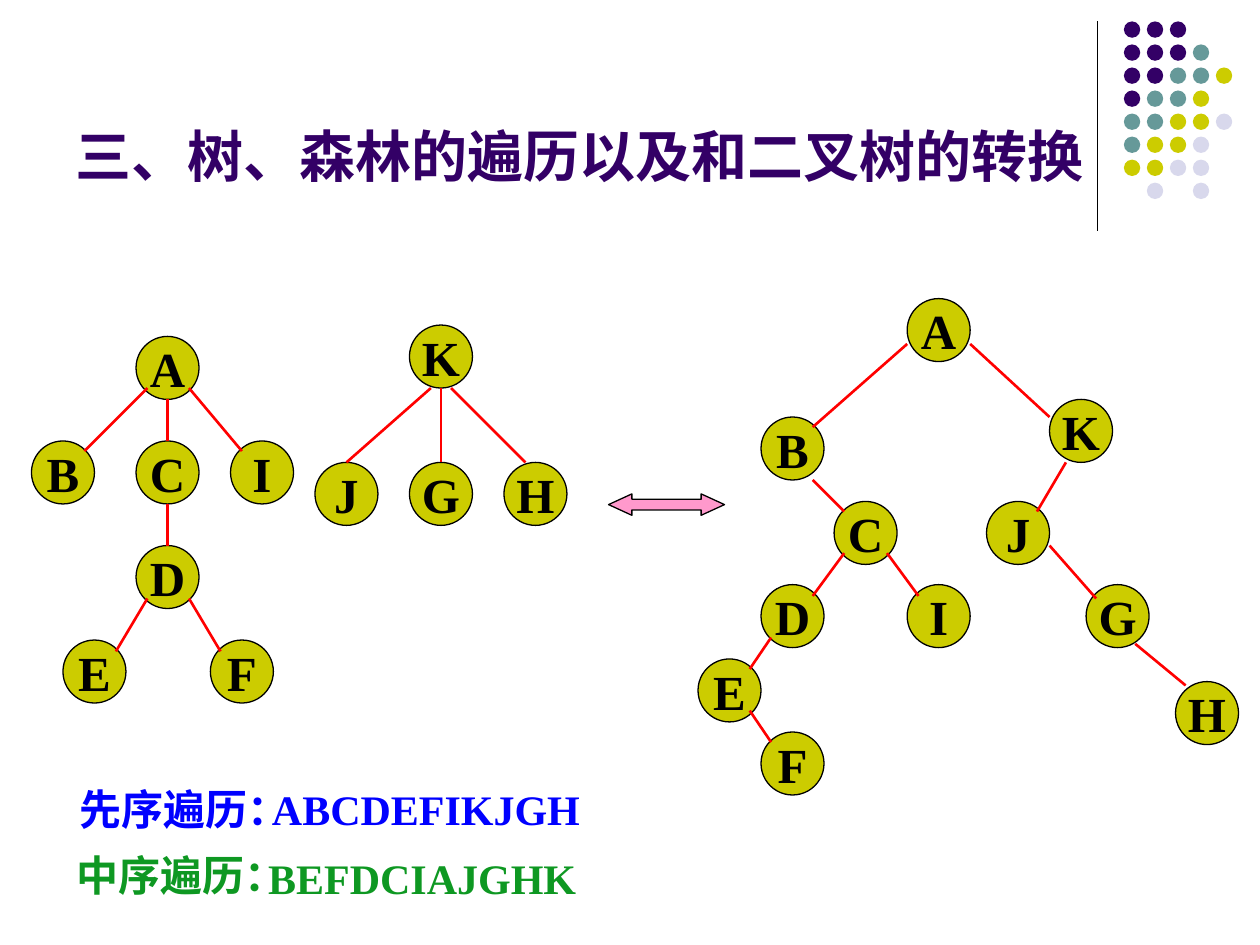
import pptx
import pptx.dml.color
import pptx.enum.shapes
import pptx.enum.text
import pptx.oxml.ns
import pptx.util
from dataclasses import dataclass
from lxml import etree

Inches = pptx.util.Inches
Shapes = pptx.enum.shapes.MSO_SHAPE
Anchor = pptx.enum.text.MSO_ANCHOR
Align = pptx.enum.text.PP_ALIGN
AutoSize = pptx.enum.text.MSO_AUTO_SIZE


@dataclass(frozen=True)
class Theme:
    """Colours, type sizes and line widths of the slide."""
    font: str = "Times New Roman"
    purple: str = "330066"
    teal: str = "669999"
    olive: str = "CCCC00"
    lavender: str = "D8D8EC"
    black: str = "000000"
    red: str = "FF0000"
    pink: str = "FF99CC"
    blue: str = "0000FF"
    green: str = "0E9822"
    title_size: int = 32
    node_size: int = 28
    label_size: int = 24
    outline: float = 0.75
    edge: float = 1.5


THEME = Theme()
NODE_DIAMETER = 0.5

DOT_ROWS = ["PPP", "PPPT", "PPTTO", "PTTO", "TTOOL", "TOOL", "OOLL", " L L"]
DOT_COLOURS = {"P": THEME.purple, "T": THEME.teal, "O": THEME.olive, "L": THEME.lavender}

FIRST_TREE = (
    {"E": (0.5, 5.08), "A": (1.08, 2.67), "B": (0.25, 3.5), "C": (1.08, 3.5),
     "D": (1.08, 4.33), "F": (1.67, 5.08), "I": (1.83, 3.5)},
    [(1.17, 3.08, 0.67, 3.58), (1.17, 4.75, 0.92, 5.17), (1.33, 3.17, 1.33, 3.5),
     (1.33, 4, 1.33, 4.33), (1.5, 4.75, 1.75, 5.17), (1.5, 3.08, 1.92, 3.58)],
)
SECOND_TREE = (
    {"J": (2.5, 3.67), "H": (4, 3.67), "G": (3.25, 3.67), "K": (3.25, 2.58)},
    [(3.42, 3.08, 2.75, 3.67), (3.5, 3.08, 3.5, 3.67), (3.58, 3.08, 4.17, 3.67)],
)
BINARY_TREE = (
    {"A": (7.2, 2.37), "B": (6.04, 3.31), "D": (6.04, 4.64), "E": (5.54, 5.23),
     "C": (6.62, 3.98), "I": (7.2, 4.64), "F": (6.04, 5.81), "K": (8.33, 3.17),
     "J": (7.83, 3.98), "G": (8.62, 4.64), "H": (9.33, 5.41)},
    [(7.2, 2.73, 6.45, 3.39), (6.7, 4.39, 6.45, 4.73), (6.12, 5.06, 5.95, 5.31),
     (6.45, 3.81, 6.7, 4.06), (7.04, 4.39, 7.29, 4.73), (5.95, 5.64, 6.12, 5.89),
     (7.7, 2.73, 8.33, 3.31), (8.46, 3.67, 8.23, 4.06), (8.7, 4.75, 8.33, 4.33),
     (9.01, 5.11, 9.41, 5.44)],
)


def colour(value):
    """Return an RGB colour from its hex value."""
    return pptx.dml.color.RGBColor.from_string(value)


def set_attributes(target, values):
    """Set each named attribute of the target."""
    for name, value in values.items():
        setattr(target, name, value)


def write_text(shape, text, size, text_colour, alignment, **frame_format):
    """Write one bold paragraph into a shape."""
    set_attributes(shape.text_frame, frame_format)
    paragraph = shape.text_frame.paragraphs[0]
    paragraph.alignment = alignment
    run = paragraph.add_run()
    run.text = text
    set_attributes(run.font, {"name": THEME.font, "size": pptx.util.Pt(size), "bold": True})
    run.font.color.rgb = colour(text_colour)


def add_filled_shape(shapes, kind, box, fill, outlined=True):
    """Add a flat preset shape with an optional black outline."""
    shape = shapes.add_shape(kind, *map(Inches, box))
    shape.shadow.inherit = False
    shape.fill.solid()
    shape.fill.fore_color.rgb = colour(fill)
    if outlined:
        shape.line.color.rgb = colour(THEME.black)
        shape.line.width = pptx.util.Pt(THEME.outline)
    else:
        shape.line.fill.background()
    return shape


def add_line(shapes, ends, line_colour, width):
    """Add a straight line without a shadow."""
    straight = pptx.enum.shapes.MSO_CONNECTOR.STRAIGHT
    connector = shapes.add_connector(straight, *map(Inches, ends))
    connector.line.color.rgb = colour(line_colour)
    connector.line.width = pptx.util.Pt(width)
    properties = connector._element.spPr
    etree.SubElement(properties, pptx.oxml.ns.qn("a:effectLst"))


def add_dots(slide):
    """Add the grouped grid of corner dots."""
    shapes = slide.shapes.add_group_shape().shapes
    for row, letters in enumerate(DOT_ROWS):
        for column, letter in enumerate(letters):
            if letter in DOT_COLOURS:
                box = (8.92 + column * 0.73 / 4, 0.17 + row * 1.28 / 7, 0.13, 0.13)
                add_filled_shape(shapes, Shapes.OVAL, box, DOT_COLOURS[letter], False)


def add_title(slide, text):
    """Place and fill the title placeholder."""
    title = slide.shapes.title
    set_attributes(title, {"left": Inches(0.5), "top": Inches(0.13),
                           "width": Inches(8.25), "height": Inches(1.42)})
    write_text(title, text, THEME.title_size, THEME.purple, Align.LEFT,
               vertical_anchor=Anchor.BOTTOM, auto_size=AutoSize.NONE)


def add_tree(slide, nodes, edges):
    """Add a grouped tree of lettered nodes and red edges."""
    shapes = slide.shapes.add_group_shape().shapes
    for letter, position in nodes.items():
        box = (*position, NODE_DIAMETER, NODE_DIAMETER)
        node = add_filled_shape(shapes, Shapes.OVAL, box, THEME.olive)
        write_text(node, letter, THEME.node_size, THEME.black, Align.CENTER,
                   vertical_anchor=Anchor.MIDDLE, word_wrap=False)
    for ends in edges:
        add_line(shapes, ends, THEME.red, THEME.edge)


def add_label(slide, text, box, text_colour, anchor):
    """Add a text box wide enough for its one line."""
    label = slide.shapes.add_textbox(*map(Inches, box))
    write_text(label, text, THEME.label_size, text_colour, Align.LEFT,
               vertical_anchor=anchor, word_wrap=True, auto_size=AutoSize.NONE)


def main():
    """Build and save the slide."""
    presentation = pptx.Presentation()
    set_attributes(presentation, {"slide_width": Inches(10), "slide_height": Inches(7.5)})
    slide = presentation.slides.add_slide(presentation.slide_layouts[5])
    add_line(slide.shapes, (8.71, 0.17, 8.71, 1.83), THEME.black, THEME.outline)
    add_dots(slide)
    add_title(slide, "三、树、森林的遍历以及和二叉树的转换")
    arrow = add_filled_shape(slide.shapes, Shapes.LEFT_RIGHT_ARROW,
                             (4.83, 3.92, 0.92, 0.17), THEME.pink)
    arrow.adjustments[0] = 0.5
    arrow.adjustments[1] = 1.09
    for nodes, edges in (FIRST_TREE, SECOND_TREE, BINARY_TREE):
        add_tree(slide, nodes, edges)
    add_label(slide, "先序遍历：", (0.53, 6.17, 1.95, 0.5), THEME.blue, Anchor.MIDDLE)
    add_label(slide, "中序遍历：", (0.51, 6.69, 1.95, 0.5), THEME.green, Anchor.MIDDLE)
    add_label(slide, "ABCDEFIKJGH", (2.06, 6.17, 2.75, 0.5), THEME.blue, Anchor.TOP)
    add_label(slide, "BEFDCIAJGHK", (2.03, 6.72, 2.75, 0.5), THEME.green, Anchor.TOP)
    presentation.save("out.pptx")


if __name__ == "__main__":
    main()
